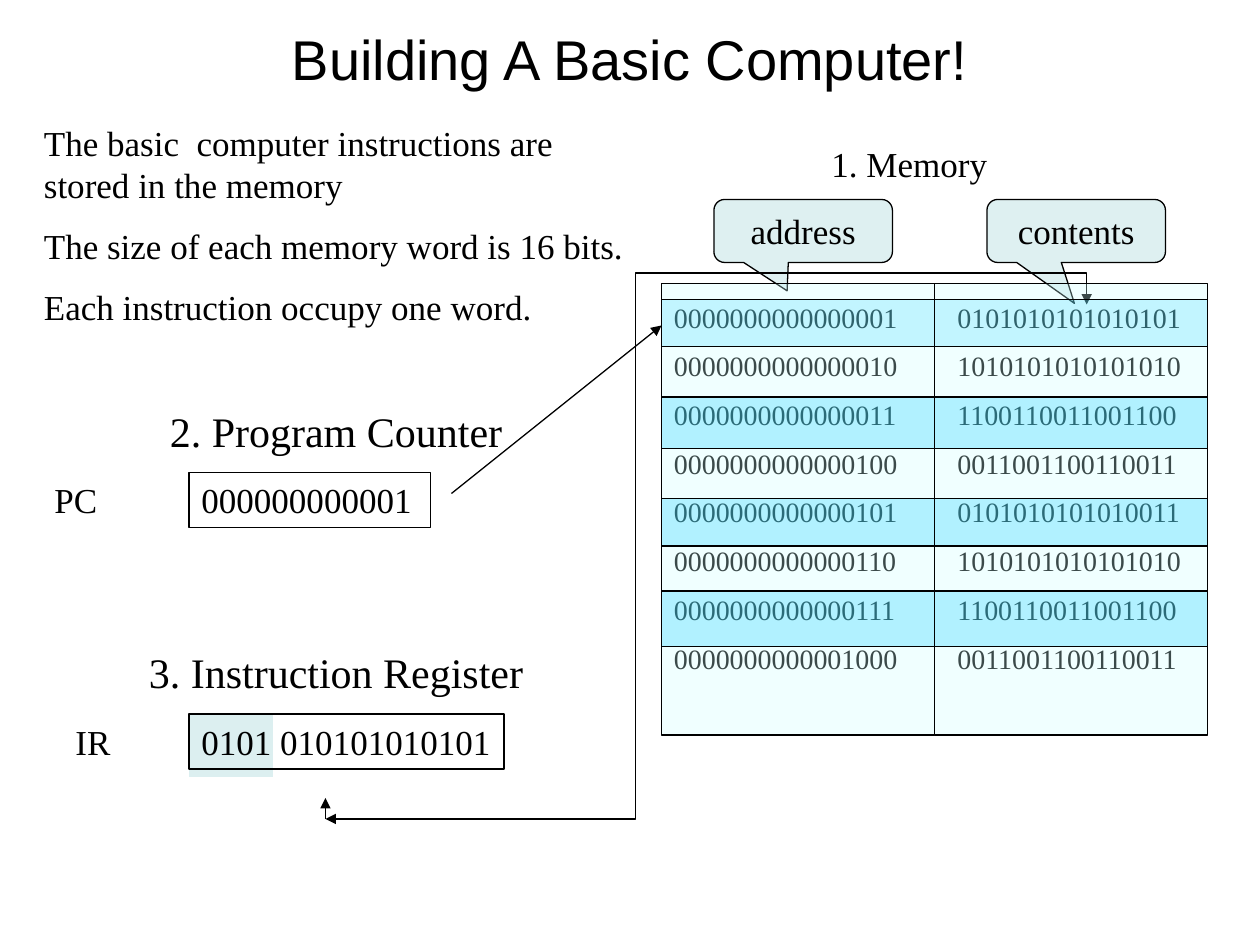
"""Build the basic computer slide on a grid of 120 columns by 90 rows."""
from lxml.etree import SubElement
from pptx import Presentation
from pptx.dml.color import RGBColor
from pptx.enum.shapes import MSO_CONNECTOR, MSO_SHAPE
from pptx.enum.text import MSO_ANCHOR, PP_ALIGN
from pptx.oxml.ns import qn
from pptx.util import Inches, Pt

BLACK = RGBColor(0, 0, 0)
TEAL = RGBColor(0xBB, 0xE0, 0xE3)
PALE = RGBColor(0xCC, 0xFF, 0xFF)
CYAN = RGBColor(0x00, 0xCC, 0xFF)
SERIF = "Times New Roman"
LABEL_ROWS = 5.25
STRIPES = [(28.5, 4.5, 19), (37.8, 4.9, 26), (47.5, 4.5, 26), (56.3, 5.3, 26)]
NOTES = [
    "The basic  computer instructions are stored in the memory",
    "The size of each memory word is 16 bits.",
    "Each instruction occupy one word.",
]
ADDRESSES = [f"{number:016b}" for number in range(1, 9)]
CONTENTS = [
    "0101010101010101", "1010101010101010", "1100110011001100", "0011001100110011",
    "0101010101010011", "1010101010101010", "1100110011001100", "0011001100110011",
]


def grid(*units):
    """Turn grid units into lengths."""
    return [Inches(unit / 12) for unit in units]


def write(shape, lines, size, align=PP_ALIGN.LEFT, font=SERIF, anchor=MSO_ANCHOR.TOP):
    """Fill a shape with evenly spaced paragraphs."""
    frame = shape.text_frame
    frame.word_wrap = True
    frame.vertical_anchor = anchor
    frame.text = "\n".join(lines)
    for index, para in enumerate(frame.paragraphs):
        para.alignment = align
        if index:
            para.space_before = Pt(size * 0.54)
        for span in para.runs:
            span.font.size = Pt(size)
            span.font.name = font
            span.font.color.rgb = BLACK


def add_text(page, area, lines, size, **style):
    """Add a text box."""
    write(page.shapes.add_textbox(*grid(*area)), lines, size, **style)


def add_block(page, area, fill=None, opacity=100, outlined=True, kind=MSO_SHAPE.RECTANGLE):
    """Add a shape with an optional see-through fill."""
    block = page.shapes.add_shape(kind, *grid(*area))
    block.shadow.inherit = False
    if fill is None:
        block.fill.background()
    else:
        block.fill.solid()
        block.fill.fore_color.rgb = fill
        color = block._element.spPr.find(qn("a:solidFill"))[0]
        SubElement(color, qn("a:alpha")).set("val", str(opacity * 1000))
    if outlined:
        block.line.color.rgb = BLACK
        block.line.width = Pt(0.75)
    else:
        block.line.fill.background()
    return block


def add_register(page, area, bits):
    """Add an outlined register holding bits."""
    write(add_block(page, area), [bits], 20)


def add_callout(page, left, label, tip):
    """Add a callout whose tip points at a memory column."""
    callout = add_block(page, (left, 19, 17, 6), TEAL, 48,
                        kind=MSO_SHAPE.ROUNDED_RECTANGULAR_CALLOUT)
    for index, value in enumerate((*tip, 0.17)):
        callout.adjustments[index] = value
    write(callout, [label], 20, PP_ALIGN.CENTER, anchor=MSO_ANCHOR.MIDDLE)


def add_memory_column(page, left):
    """Add one memory column with its shaded words."""
    add_block(page, (left, 27, 26, 43), PALE, 29)
    for top, rows, opacity in STRIPES:
        add_block(page, (left, top, 26, rows), CYAN, opacity)


def add_arrow(page, ends, kind=MSO_CONNECTOR.STRAIGHT, heads=("tailEnd",)):
    """Add a connector with triangle heads."""
    arrow = page.shapes.add_connector(kind, *grid(*ends))
    arrow.line.color.rgb = BLACK
    arrow.line.width = Pt(0.75)
    outline = arrow.line._get_or_add_ln()
    for head in heads:
        SubElement(outline, qn(f"a:{head}")).set("type", "triangle")
    SubElement(arrow._element.spPr, qn("a:effectLst"))
    return arrow


def add_fetch_path(page):
    """Add the two-headed bent path from memory to the instruction register."""
    path = add_arrow(page, (42.75, 17.25, 91.75, 89.75), MSO_CONNECTOR.ELBOW,
                     ("headEnd", "tailEnd"))
    frame = path._element.spPr.find(qn("a:xfrm"))
    for name, value in (("rot", "16200000"), ("flipH", "1"), ("flipV", "1")):
        frame.set(name, value)
    geometry = path._element.spPr.find(qn("a:prstGeom"))
    geometry.set("prst", "bentConnector4")
    guides = geometry.find(qn("a:avLst"))
    if guides is None:
        guides = SubElement(geometry, qn("a:avLst"))
    for name, value in (("adj1", -6100), ("adj2", 59300)):
        guide = SubElement(guides, qn("a:gd"))
        guide.set("name", name)
        guide.set("fmla", f"val {value}")


def main():
    """Build and save the slide."""
    deck = Presentation()
    deck.slide_width, deck.slide_height = grid(120, 90)
    page = deck.slides.add_slide(deck.slide_layouts[6])

    add_text(page, (78, 13, 21, LABEL_ROWS), ["1. Memory"], 20)
    add_text(page, (3, 38, 58, 6), ["2. Program Counter"], 24, align=PP_ALIGN.CENTER)
    add_text(page, (3, 11, 58, 21.25), NOTES, 20)
    add_text(page, (90, 28, 27, 38.4), CONTENTS, 16)
    add_register(page, (18, 45, 23, LABEL_ROWS), "000000000001")
    add_text(page, (4, 45, 11, LABEL_ROWS), ["PC"], 20)
    add_text(page, (3, 61, 58, 6), ["3. Instruction Register"], 24, align=PP_ALIGN.CENTER)
    add_block(page, (18, 68, 8, 6), TEAL, 50, outlined=False)
    add_register(page, (18, 68, 30, LABEL_ROWS), "0101 010101010101")
    add_text(page, (6, 68, 11, LABEL_ROWS), ["IR"], 20)
    add_arrow(page, (43, 47, 63, 31))
    add_text(page, (9, 2, 102, 7), ["Building A Basic Computer!"], 32,
             align=PP_ALIGN.CENTER, font="Arial", anchor=MSO_ANCHOR.MIDDLE)
    add_callout(page, 68, "address", (-0.09, 0.95))
    add_text(page, (63, 28, 27, 38.4), ADDRESSES, 16)
    add_memory_column(page, 63)
    add_callout(page, 94, "contents", (-0.01, 1.15))
    add_fetch_path(page)
    add_arrow(page, (31, 78, 31, 76))
    add_memory_column(page, 89)

    deck.save("out.pptx")


if __name__ == "__main__":
    main()
